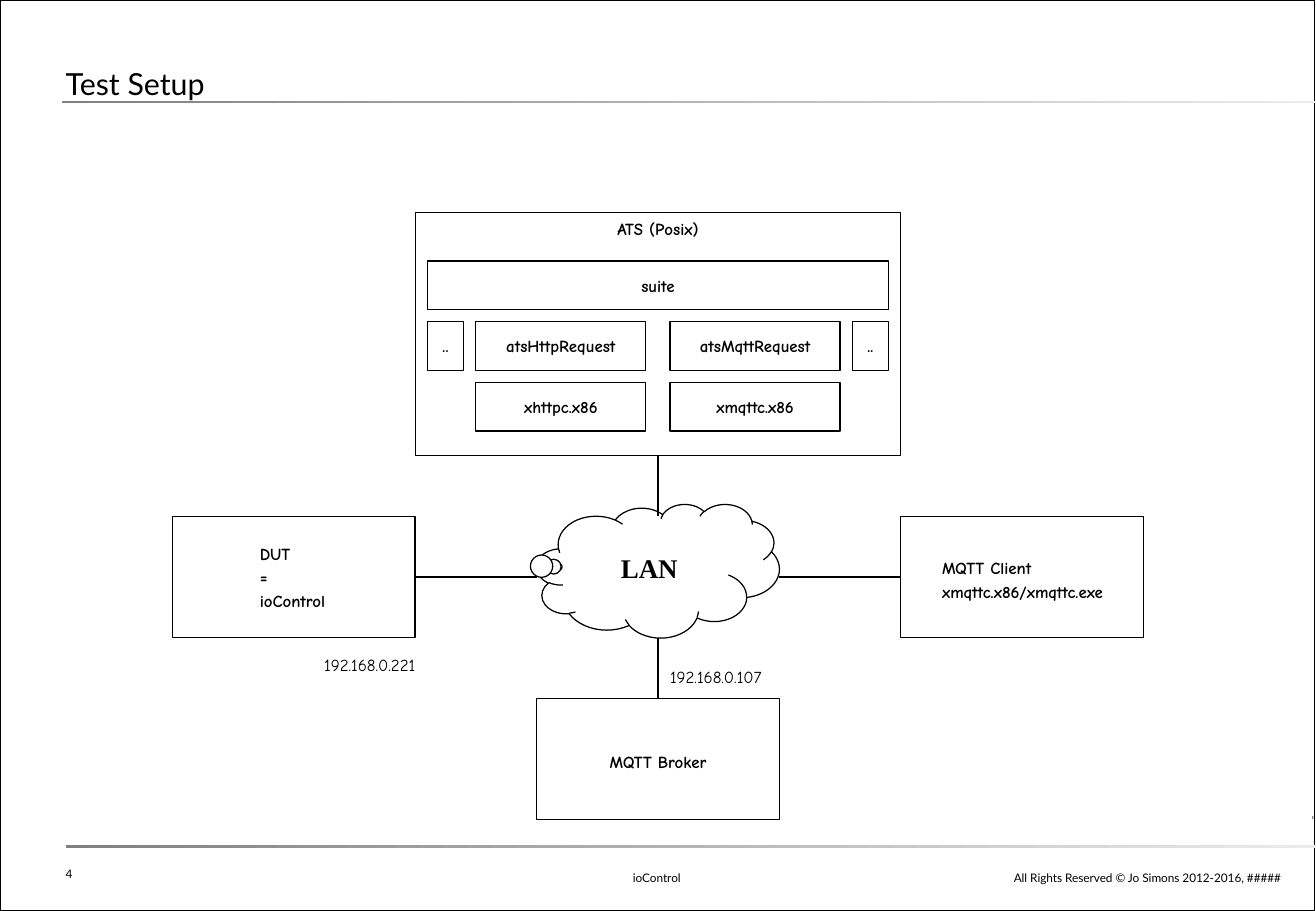
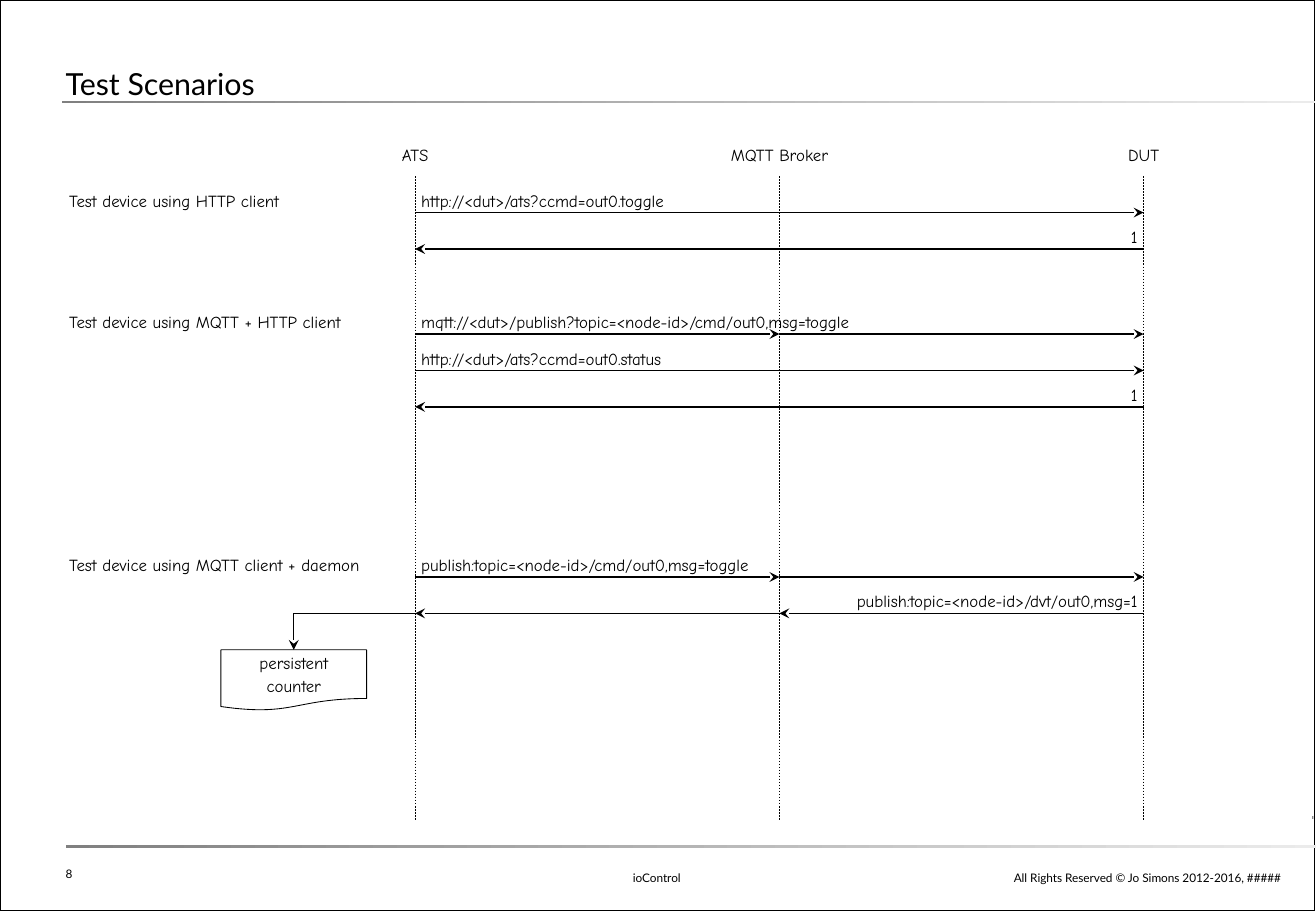
from dataclasses import dataclass, replace
from itertools import pairwise
from typing import Optional

from lxml.etree import SubElement
from pptx import Presentation
from pptx.dml.color import RGBColor
from pptx.enum.dml import MSO_LINE
from pptx.enum.shapes import MSO_CONNECTOR, MSO_SHAPE
from pptx.enum.text import MSO_ANCHOR, PP_ALIGN
from pptx.oxml.ns import qn
from pptx.shapes.autoshape import Shape
from pptx.shapes.connector import Connector
from pptx.slide import Slide
from pptx.util import Inches, Pt

BLACK = RGBColor(0x00, 0x00, 0x00)
WHITE = RGBColor(0xFF, 0xFF, 0xFF)
GREY = RGBColor(0x80, 0x80, 0x80)
PALE = RGBColor(0xEB, 0xEB, 0xEB)
SILVER = RGBColor(0xD7, 0xD7, 0xD7)

WIDTH, HEIGHT = 10.84, 7.5
THIN = 0.74
SPAN = 4
LEFT, CENTER, RIGHT = PP_ALIGN.LEFT, PP_ALIGN.CENTER, PP_ALIGN.RIGHT
TOP, MIDDLE, BOTTOM = MSO_ANCHOR.TOP, MSO_ANCHOR.MIDDLE, MSO_ANCHOR.BOTTOM
PRODUCT = "ioControl"


@dataclass(frozen=True)
class Style:
    """Look of a block of text; insets run left, top, right, bottom."""
    font: str = "Comic Neue"
    size: float = 10
    bold: bool = False
    align: PP_ALIGN = LEFT
    anchor: MSO_ANCHOR = MIDDLE
    inset: tuple[float, ...] = (0, 0.05, 0, 0)
    wrap: bool = False
    before: float = 1.9
    spacing: Optional[float] = None


@dataclass(frozen=True)
class Area:
    """Place and size in inches."""
    left: float
    top: float
    width: float
    height: float


@dataclass(frozen=True)
class Message:
    """A labelled chain of arrows along one height."""
    y: float
    stops: tuple[float, ...]
    text: str


@dataclass(frozen=True)
class Label:
    """A styled text and its place."""
    area: Area
    text: str
    style: Style


FOOTER = Style("Lato", 7, anchor=BOTTOM, inset=(0.1, 0.05, 0.1, 0.05),
               wrap=True, before=4.4)
NUMBER = replace(FOOTER, anchor=TOP, inset=(0, 0.05, 0.1, 0.05), before=0)
TITLE = Style("Lato", 18, anchor=BOTTOM, inset=(0,) * 4, wrap=True, before=0,
              spacing=1.2)
NOTE = Style()
HEAD = replace(NOTE, align=CENTER)
CALL = replace(NOTE, inset=(0.05,) * 4)
BOX = Style(bold=True, align=CENTER, inset=(0,) * 4)
LOW = replace(BOX, inset=(0, 0.05, 0, 0))
DEVICE = replace(BOX, align=LEFT, inset=(0.72, 0, 0, 0))
CLIENT = replace(BOX, align=LEFT, inset=(0.34, 0.05, 0, 0))
CLOUD = Style("Times New Roman", 16, True, CENTER, inset=(0.12,) * 4,
              wrap=True, before=3)
FILE = Style(align=CENTER, inset=(0.12,) * 4, wrap=True)


def write(shape: Shape, text: str, style: Style) -> None:
    """Fill a shape with text, one paragraph a line."""
    frame = shape.text_frame
    frame.word_wrap = style.wrap
    frame.vertical_anchor = style.anchor
    (frame.margin_left, frame.margin_top,
     frame.margin_right, frame.margin_bottom) = map(Inches, style.inset)
    for index, line in enumerate(text.split("\n")):
        para = frame.add_paragraph() if index else frame.paragraphs[0]
        para.alignment = style.align
        para.space_before = Pt(style.before)
        if style.spacing:
            para.line_spacing = style.spacing
        run = para.add_run()
        run.text = line
        run.font.name = style.font
        run.font.size = Pt(style.size)
        run.font.bold = style.bold
        run.font.color.rgb = BLACK


def place(area: Area) -> tuple[Inches, ...]:
    """Turn an area into lengths."""
    return tuple(map(Inches, (area.left, area.top, area.width, area.height)))


def add_label(slide: Slide, label: Label) -> None:
    """Add free text."""
    write(slide.shapes.add_textbox(*place(label.area)), label.text, label.style)


def add_form(slide: Slide, kind: MSO_SHAPE, area: Area, weight: float = THIN) -> Shape:
    """Add a hollow shape with a black outline."""
    shape = slide.shapes.add_shape(kind, *place(area))
    shape.shadow.inherit = False
    shape.fill.background()
    shape.line.color.rgb = BLACK
    shape.line.width = Pt(weight)
    return shape


def add_fade(slide: Slide, area: Area, end: RGBColor) -> None:
    """Add a bar that fades from grey to the end colour."""
    bar = slide.shapes.add_shape(MSO_SHAPE.RECTANGLE, *place(area))
    bar.shadow.inherit = False
    bar.line.fill.background()
    bar.fill.gradient()
    bar.fill.gradient_angle = 0
    for stop, color in zip(bar.fill.gradient_stops, (GREY, end)):
        stop.color.rgb = color


def add_line(slide: Slide, start: tuple[float, float], end: tuple[float, float],
             arrow: bool = False, weight: float = THIN) -> Connector:
    """Join two points, with an arrowhead at the end if asked."""
    line = slide.shapes.add_connector(
        MSO_CONNECTOR.STRAIGHT, *map(Inches, (*start, *end)))
    line.line.color.rgb = BLACK
    line.line.width = Pt(weight)
    props = line._element.spPr
    if arrow:
        SubElement(props.find(qn("a:ln")), qn("a:tailEnd"), type="stealth")
    SubElement(props, qn("a:effectLst"))
    return line


def add_page(deck: Presentation, title: str, number: int) -> Slide:
    """Add a slide with border, rules, title and footers."""
    slide = deck.slides.add_slide(deck.slide_layouts[6])
    add_fade(slide, Area(10.81, 6.72, 0.01, 0.02), SILVER)
    add_form(slide, MSO_SHAPE.RECTANGLE, Area(0, 0, 10.83, HEIGHT), 0.99)
    for left, top in ((0.54, 6.96), (0.51, 0.83)):
        add_fade(slide, Area(left, top, 10.32, 0.02), PALE)
    rights = "All Rights Reserved © Jo Simons 2012-2016, #####"
    for label in (
        Label(Area(8.03, 7.08, 2.62, 0.25), rights, replace(FOOTER, align=RIGHT)),
        Label(Area(4.69, 7.08, 1.44, 0.25), PRODUCT, replace(FOOTER, align=CENTER)),
        Label(Area(0.54, 7.09, 1.63, 0.23), str(number), NUMBER),
        Label(Area(0.54, 0.08, 9.78, 0.76), title, TITLE),
    ):
        add_label(slide, label)
    return slide


def draw_setup(deck: Presentation) -> None:
    """Draw the network of the test setup."""
    slide = add_page(deck, "Test Setup", 4)
    cloud = add_form(slide, MSO_SHAPE.CLOUD_CALLOUT, Area(4.42, 4.15, 2, 1.1))
    cloud.adjustments[0], cloud.adjustments[1] = -0.41, -0.03
    cloud.fill.solid()
    cloud.fill.fore_color.rgb = WHITE
    write(cloud, "LAN", CLOUD)

    nodes = [
        Label(Area(3.42, 1.75, 4, 2), "ATS (Posix)", replace(LOW, anchor=TOP)),
        Label(Area(3.52, 2.15, 3.8, 0.4), "suite", BOX),
        Label(Area(1.42, 4.25, 2, 1), f"DUT\n=\n{PRODUCT}", DEVICE),
        Label(Area(7.42, 4.25, 2, 1), "MQTT Client\nxmqttc.x86/xmqttc.exe", CLIENT),
        Label(Area(4.42, 5.75, 2, 1), "MQTT Broker", LOW),
    ]
    nodes += [Label(Area(x, 2.65, 0.3, 0.4), "..", BOX) for x in (3.52, 7.02)]
    stacks = {3.92: ("atsHttpRequest", "xhttpc.x86"),
              5.52: ("atsMqttRequest", "xmqttc.x86")}
    for left, names in stacks.items():
        for row, name in enumerate(names):
            nodes.append(Label(Area(left, 2.65 + row * 0.5, 1.4, 0.4), name, BOX))
    for node in nodes:
        write(add_form(slide, MSO_SHAPE.RECTANGLE, node.area), node.text, node.style)

    for x in (3.42, 6.42):
        add_line(slide, (x, 4.75), (x + 1, 4.75))
    for y in (3.75, 5.25):
        add_line(slide, (5.42, y), (5.42, y + 0.5))
    add_label(slide, Label(Area(5.52, 5.45, 1.5, 0.2), "192.168.0.107", NOTE))
    add_label(slide, Label(Area(1.92, 5.35, 1.5, 0.2), "192.168.0.221",
                           replace(NOTE, align=RIGHT)))


def add_call(slide: Slide, call: Message) -> None:
    """Draw a message, its label above the side it starts from."""
    for start, end in pairwise(call.stops):
        add_line(slide, (start, call.y), (end, call.y), arrow=True)
    first = call.stops[0]
    back = first > call.stops[-1]
    area = Area(first - SPAN if back else first, call.y - 0.2, SPAN, 0.2)
    add_label(slide, Label(area, call.text, replace(CALL, align=RIGHT if back else LEFT)))


def draw_tests(deck: Presentation) -> None:
    """Draw the message flow of each test."""
    slide = add_page(deck, "Test Scenarios", 8)
    ats, broker, dut = 3.42, 6.42, 9.42
    for x, name in ((ats, "ATS"), (broker, "MQTT Broker"), (dut, "DUT")):
        line = add_line(slide, (x, 1.45), (x, 6.75), weight=0.26)
        line.line.dash_style = MSO_LINE.DASH
        add_label(slide, Label(Area(x - 0.7, 1.15, 1.4, 0.2), name, HEAD))

    for y, name in ((1.55, "Test device using HTTP client"),
                    (2.55, "Test device using MQTT + HTTP client"),
                    (4.55, "Test device using MQTT client + daemon")):
        add_label(slide, Label(Area(0.52, y, 2.8, 0.2), name, CALL))

    for call in (
        Message(1.75, (ats, dut), "http://<dut>/ats?ccmd=out0.toggle"),
        Message(2.05, (dut, ats), "1"),
        Message(2.75, (ats, broker, dut),
                "mqtt://<dut>/publish?topic=<node-id>/cmd/out0,msg=toggle"),
        Message(3.05, (ats, dut), "http://<dut>/ats?ccmd=out0.status"),
        Message(3.35, (dut, ats), "1"),
        Message(4.75, (ats, broker, dut), "publish:topic=<node-id>/cmd/out0,msg=toggle"),
        Message(5.05, (dut, broker, ats), "publish:topic=<node-id>/dvt/out0,msg=1"),
    ):
        add_call(slide, call)

    store = add_form(slide, MSO_SHAPE.FLOWCHART_DOCUMENT, Area(1.82, 5.35, 1.2, 0.5), 0.51)
    write(store, "persistent\ncounter", FILE)
    add_line(slide, (ats, 5.05), (2.42, 5.05))
    add_line(slide, (2.42, 5.05), (2.42, 5.35), arrow=True)


def main() -> None:
    """Build and save the deck."""
    deck = Presentation()
    deck.slide_width, deck.slide_height = Inches(WIDTH), Inches(HEIGHT)
    draw_setup(deck)
    draw_tests(deck)
    deck.save("out.pptx")


main()
